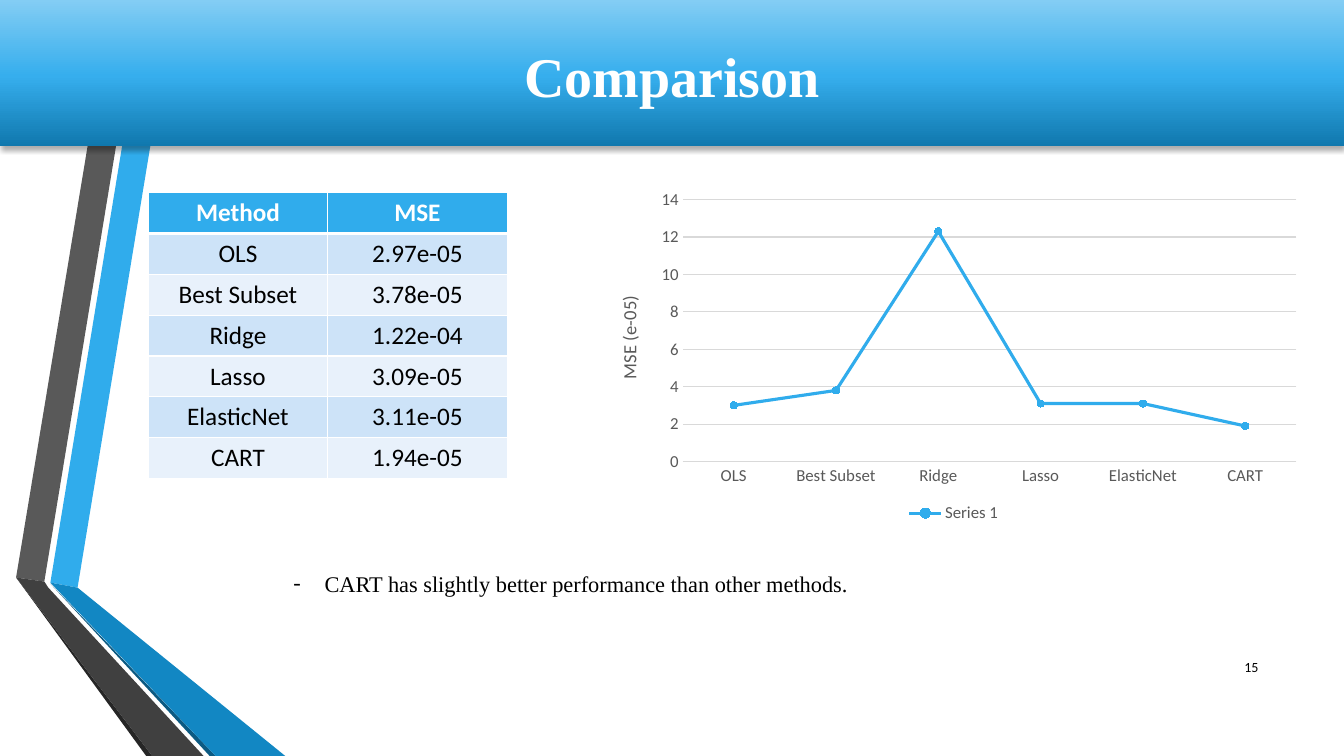
from dataclasses import dataclass
from typing import Optional

from lxml.etree import SubElement
from pptx import Presentation
from pptx.chart.data import CategoryChartData
from pptx.dml.color import RGBColor
from pptx.enum.chart import XL_CHART_TYPE, XL_LEGEND_POSITION, XL_MARKER_STYLE, XL_TICK_MARK
from pptx.enum.text import MSO_ANCHOR, MSO_AUTO_SIZE, PP_ALIGN
from pptx.oxml import parse_xml
from pptx.oxml.ns import nsdecls, qn
from pptx.util import Emu, Pt


@dataclass(frozen=True)
class Theme:
    sans: str = "Calibri"
    serif: str = "Times New Roman"
    white: str = "FFFFFF"
    black: str = "000000"
    blue: str = "30ACEC"
    navy: str = "0C5A82"
    deep: str = "1287C3"
    gray: str = "595959"
    dark: str = "404040"
    coal: str = "262626"
    grid: str = "D9D9D9"
    bands: tuple[str, str] = ("CDE3F8", "E8F1FB")
    fade: tuple[tuple[int, str], ...] = ((0, "1078AE"), (48, "36AEED"), (100, "83CDF4"))
    title: int = 40
    cell: int = 18
    body: int = 16
    axis: float = 13.3
    label: int = 12
    page: int = 10


@dataclass(frozen=True)
class Box:
    left: int
    top: int
    width: int
    height: int

    def emu(self) -> tuple[Emu, Emu, Emu, Emu]:
        return px(self.left), px(self.top), px(self.width), px(self.height)


@dataclass(frozen=True)
class Ribbon:
    color: str
    points: tuple[tuple[int, int], ...]


@dataclass(frozen=True)
class Method:
    name: str
    error: str
    value: float


SCALE = 9144
THEME = Theme()
SLIDE = Box(0, 0, 1333, 750)
BANNER = Box(0, 0, 1333, 145)
TABLE = Box(147, 191, 356, 280)
CHART = Box(592, 181, 708, 342)
BODY = Box(281, 547, 673, 86)
PAGE = Box(1198, 642, 60, 40)
PLOT = {"x": 0.12, "y": 0.05, "w": 0.86, "h": 0.76}

RIBBONS = (
    Ribbon(THEME.blue, ((50, 578), (77, 583), (173, 0), (145, 0))),
    Ribbon(THEME.gray, ((139, 0), (111, 0), (16, 573), (44, 577))),
    Ribbon(THEME.coal, ((16, 573), (145, 750), (151, 750))),
    Ribbon(THEME.navy, ((50, 579), (208, 750), (214, 750))),
    Ribbon(THEME.deep, ((50, 578), (214, 750), (283, 750), (77, 583))),
    Ribbon(THEME.dark, ((202, 750), (48, 583), (44, 577), (16, 573), (151, 750))),
)

METHODS = (
    Method("OLS", "2.97e-05", 3),
    Method("Best Subset", "3.78e-05", 3.8),
    Method("Ridge", "1.22e-04", 12.3),
    Method("Lasso", "3.09e-05", 3.1),
    Method("ElasticNet", "3.11e-05", 3.1),
    Method("CART", "1.94e-05", 1.9),
)


def px(size: int) -> Emu:
    return Emu(size * SCALE)


def rgb(color: str) -> RGBColor:
    return RGBColor.from_string(color)


def style(font, face: str, size: float, color: str, bold: bool = False) -> None:
    font.name, font.size, font.bold = face, Pt(size), bold
    font.color.rgb = rgb(color)


def place(shape, box: Box) -> None:
    shape.left, shape.top, shape.width, shape.height = box.emu()


def write(frame, text: str, align: PP_ALIGN, face: str, size: int, color: str,
          bold: bool = False, space: Optional[float] = None):
    frame.text = text
    line = frame.paragraphs[0]
    line.alignment = align
    if space:
        line.line_spacing = space
    style(line.runs[0].font, face, size, color, bold)
    return line


def draw_ribbon(slide, ribbon: Ribbon) -> None:
    first, *rest = ribbon.points
    pen = slide.shapes.build_freeform(*first, scale=SCALE)
    pen.add_line_segments(rest, close=True)
    shape = pen.convert_to_shape()
    shape.shadow.inherit = False
    shape.fill.solid()
    shape.fill.fore_color.rgb = rgb(ribbon.color)
    shape.line.fill.background()


def draw_title(slide) -> None:
    title = slide.shapes.title
    place(title, BANNER)
    stops = "".join(f'<a:gs pos="{spot * 1000}"><a:srgbClr val="{color}"/></a:gs>'
                    for spot, color in THEME.fade)
    props = title.element.spPr
    props.append(parse_xml(
        f'<a:gradFill {nsdecls("a")} rotWithShape="1"><a:gsLst>{stops}</a:gsLst>'
        '<a:lin ang="16200000" scaled="0"/></a:gradFill>'))
    props.append(parse_xml(
        f'<a:effectLst {nsdecls("a")}><a:outerShdw blurRad="{Pt(3.5)}" dist="{Pt(2.2)}" '
        f'dir="5400000" rotWithShape="0"><a:srgbClr val="{THEME.black}">'
        '<a:alpha val="32000"/></a:srgbClr></a:outerShdw></a:effectLst>'))
    frame = title.text_frame
    write(frame, "Comparison", PP_ALIGN.CENTER, THEME.serif, THEME.title, THEME.white, True, 1.07)
    frame.auto_size = MSO_AUTO_SIZE.NONE
    frame.vertical_anchor = MSO_ANCHOR.MIDDLE
    slide.shapes._spTree.append(title.element)


def draw_cell(cell, text: str, head: bool, fill: str) -> None:
    ink = THEME.white if head else THEME.black
    write(cell.text_frame, text, PP_ALIGN.CENTER, THEME.sans, THEME.cell, ink, head)
    cell.vertical_anchor = MSO_ANCHOR.MIDDLE
    cell.fill.solid()
    cell.fill.fore_color.rgb = rgb(fill)
    props = cell._tc.get_or_add_tcPr()
    for spot, side in enumerate("LRTB"):
        wide = 3 if head and side == "B" else 1
        props.insert(spot, parse_xml(
            f'<a:ln{side} {nsdecls("a")} w="{Pt(wide)}"><a:solidFill>'
            f'<a:srgbClr val="{THEME.white}"/></a:solidFill></a:ln{side}>'))


def draw_table(slide) -> None:
    rows = [("Method", "MSE"), *((item.name, item.error) for item in METHODS)]
    table = slide.shapes.add_table(len(rows), 2, *TABLE.emu()).table
    for row, texts in enumerate(rows):
        fill = THEME.bands[(row - 1) % 2] if row else THEME.blue
        for col, text in enumerate(texts):
            draw_cell(table.cell(row, col), text, row == 0, fill)


def draw_chart(slide) -> None:
    data = CategoryChartData()
    data.categories = [item.name for item in METHODS]
    data.add_series("Series 1", [item.value for item in METHODS])
    chart = slide.shapes.add_chart(XL_CHART_TYPE.LINE_MARKERS, *CHART.emu(), data).chart
    chart.has_title = False
    style(chart.font, THEME.sans, THEME.label, THEME.gray)
    chart.has_legend = True
    chart.legend.position = XL_LEGEND_POSITION.BOTTOM
    chart.legend.include_in_layout = False
    style(chart.legend.font, THEME.sans, THEME.label, THEME.gray)
    names, values = chart.category_axis, chart.value_axis
    for axis in (names, values):
        axis.major_tick_mark = axis.minor_tick_mark = XL_TICK_MARK.NONE
        style(axis.tick_labels.font, THEME.sans, THEME.label, THEME.gray)
    values.minimum_scale, values.maximum_scale, values.major_unit = 0, 14, 2
    values.format.line.fill.background()
    for line in (names.format.line, values.major_gridlines.format.line):
        line.color.rgb, line.width = rgb(THEME.grid), Pt(0.75)
    write(values.axis_title.text_frame, "MSE (e-05)", PP_ALIGN.CENTER,
          THEME.sans, THEME.axis, THEME.gray)
    plot = chart.plots[0]
    plot.vary_by_categories = False
    series = plot.series[0]
    series.smooth = False
    series.format.line.color.rgb, series.format.line.width = rgb(THEME.blue), Pt(2.25)
    mark = series.marker
    mark.style, mark.size = XL_MARKER_STYLE.CIRCLE, 5
    mark.format.fill.solid()
    mark.format.fill.fore_color.rgb = rgb(THEME.blue)
    mark.format.line.color.rgb = rgb(THEME.blue)
    area = chart.element.chart.plotArea
    for old in area.findall(qn("c:layout")):
        area.remove(old)
    parts = {"layoutTarget": "inner", "xMode": "edge", "yMode": "edge", **PLOT}
    layout = parse_xml(f'<c:layout {nsdecls("c")}><c:manualLayout/></c:layout>')
    for name, value in parts.items():
        SubElement(layout[0], qn(f"c:{name}")).set("val", str(value))
    area.insert(0, layout)


def draw_body(slide) -> None:
    body = slide.placeholders[1]
    place(body, BODY)
    frame = body.text_frame
    line = write(frame, "CART has slightly better performance than other methods.",
                 PP_ALIGN.LEFT, THEME.serif, THEME.body, THEME.black, space=1.5)
    line.space_before = Pt(0)
    frame.auto_size = MSO_AUTO_SIZE.NONE
    props = line._p.get_or_add_pPr()
    props.set("marL", str(px(31)))
    props.set("indent", str(-px(31)))
    SubElement(props, qn("a:buFont")).set("typeface", THEME.serif)
    SubElement(props, qn("a:buChar")).set("char", "-")
    slide.shapes._spTree.append(body.element)


def draw_page(slide) -> None:
    frame = slide.shapes.add_textbox(*PAGE.emu()).text_frame
    frame.word_wrap = True
    frame.vertical_anchor = MSO_ANCHOR.MIDDLE
    write(frame, "15", PP_ALIGN.RIGHT, THEME.sans, THEME.page, THEME.black)


def main() -> None:
    deck = Presentation()
    deck.slide_width, deck.slide_height = px(SLIDE.width), px(SLIDE.height)
    slide = deck.slides.add_slide(deck.slide_layouts[1])
    for ribbon in RIBBONS:
        draw_ribbon(slide, ribbon)
    for draw in (draw_title, draw_table, draw_chart, draw_body, draw_page):
        draw(slide)
    deck.save("out.pptx")


if __name__ == "__main__":
    main()
